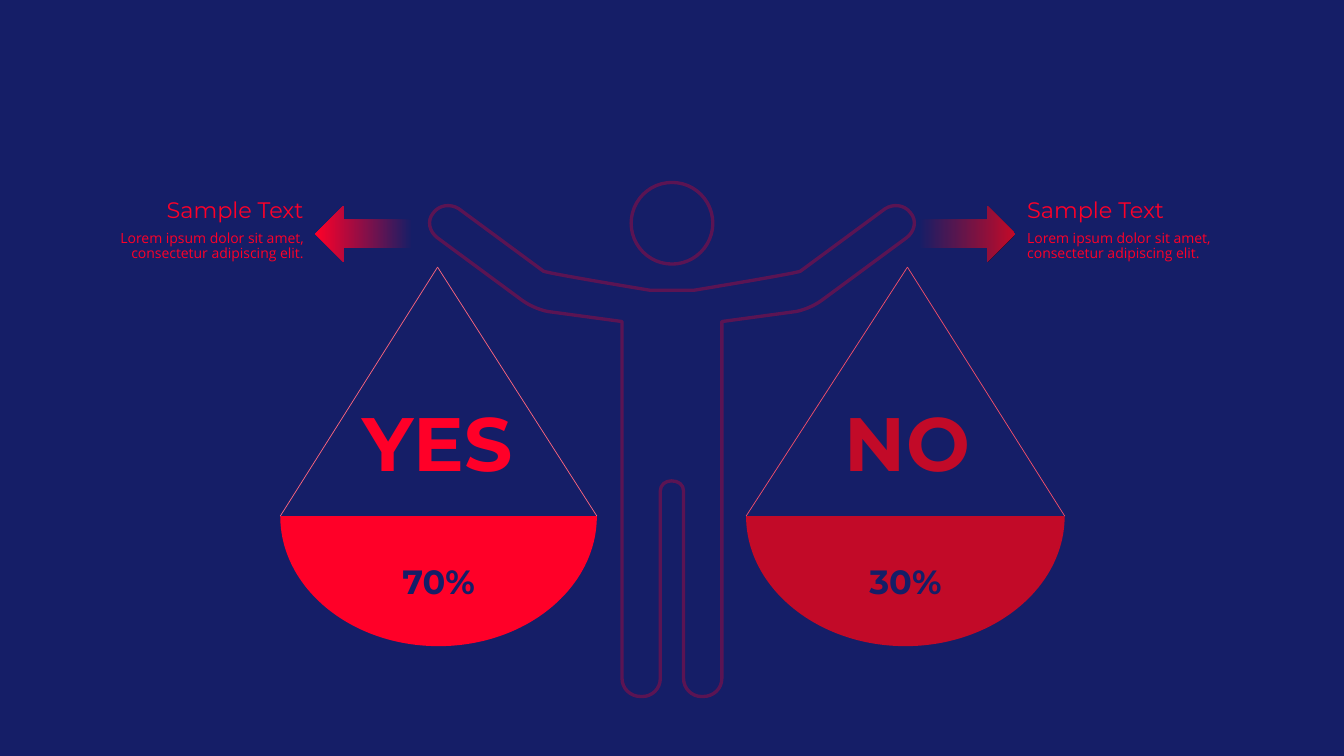
from lxml import etree
from pptx import Presentation
from pptx import util as u
from pptx.dml.color import RGBColor
from pptx.enum import shapes, text
from pptx.oxml.ns import qn

COLORS = {
    "navy": "151E67",
    "red": "FF0028",
    "crimson": "C20A28",
    "pink": "FF667E",
    "rose": "F6506B",
}
RGB = {name: RGBColor.from_string(code) for name, code in COLORS.items()}
ALIGN = text.PP_ALIGN


def write(frame, words, size, color, font="Montserrat", bold=False,
          align=ALIGN.CENTER, spacing=None, before=0):
    first = frame.paragraphs[0]
    para = frame.add_paragraph() if first.runs else first
    para.alignment = align
    para.line_spacing = spacing
    para.space_before = u.Pt(before)
    span = para.add_run()
    span.text = words
    span.font.name = font
    span.font.size = u.Pt(size)
    span.font.bold = bold
    span.font.color.rgb = RGB[color]


def draw_outline(parent, start, steps):
    builder = parent.build_freeform(*map(u.Inches, start))
    builder.add_line_segments([
        (u.Inches(step[i]), u.Inches(step[i + 1]))
        for step in steps for i in range(0, len(step), 2)], close=True)
    shape = builder.convert_to_shape()
    shape.shadow.inherit = False
    segments = iter(list(shape._element.iter(qn("a:lnTo"))))
    for step in steps:
        segment = next(segments)
        if len(step) == 6:
            segment.addprevious(etree.Element(qn("a:cubicBezTo")))
            curve = segment.getprevious()
            for line in (segment, next(segments), next(segments)):
                curve.append(line[0])
                line.getparent().remove(line)
    return shape


deck = Presentation()
deck.slide_width = u.Inches(13.33)
deck.slide_height = u.Inches(7.5)
page = deck.slides.add_slide(deck.slide_layouts[6])
page.background.fill.solid()
page.background.fill.fore_color.rgb = RGB["navy"]

neck = (6.45, 2.88)
left_half = [
    (6.45, 2.88, 5.42, 2.71, 5.39, 2.69),
    (4.55, 2.07),
    (4.47, 2.02, 4.36, 2.03, 4.3, 2.11),
    (4.23, 2.19, 4.26, 2.3, 4.34, 2.36),
    (5.18, 2.98),
    (5.25, 3.03, 5.34, 3.07, 5.43, 3.09),
    (6.17, 3.19),
    (6.17, 6.73),
    (6.17, 6.83, 6.25, 6.91, 6.36, 6.91),
    (6.37, 6.91),
    (6.47, 6.91, 6.55, 6.83, 6.55, 6.73),
    (6.55, 4.87),
    (6.55, 4.81, 6.6, 4.77, 6.66, 4.77),
]
right_half = []
origin = neck
for step in left_half:
    knots = [origin] + [step[i:i + 2] for i in range(0, len(step) - 2, 2)]
    right_half.insert(0, [
        value for x, y in reversed(knots) for value in (13.33 - x, y)])
    origin = step[-2:]

person = page.shapes.add_group_shape()
body = draw_outline(person.shapes, neck, left_half + right_half)
head = person.shapes.add_shape(
    shapes.MSO_SHAPE.OVAL, u.Inches(6.26), u.Inches(1.81), u.Inches(0.81), u.Inches(0.81))
head.shadow.inherit = False
for part in (body, head):
    part.fill.background()
    part.line.color.rgb = RGB["red"]
    part.line.width = u.Pt(2.38)
    tint = part.line.fill._xPr.find(".//" + qn("a:srgbClr"))
    etree.SubElement(tint, qn("a:alpha"), val="30000")

rim_y, bend_y, bottom_y, bend_x = 5.12, 5.83, 6.41, 0.87
scales = [
    ("YES", "70%", "red", "pink", 2.78, 5.92, 4.34, 3.34),
    ("NO", "30%", "crimson", "rose", 7.4, 10.56, 9, 8),
]
for answer, share, color, string_color, left, right, apex, label_left in scales:
    scale = page.shapes.add_group_shape()
    middle = (left + right) / 2
    pan = draw_outline(scale.shapes, (left, rim_y), [
        (right, rim_y),
        (right, bend_y, middle + bend_x, bottom_y, middle, bottom_y),
        (middle - bend_x, bottom_y, left, bend_y, left, rim_y),
    ])
    pan.fill.solid()
    pan.fill.fore_color.rgb = RGB[color]
    pan.line.fill.background()
    pan.text_frame.vertical_anchor = text.MSO_ANCHOR.MIDDLE
    write(pan.text_frame, share, 24, "navy", bold=True)

    for rim in (left, right):
        string = scale.shapes.add_connector(
            shapes.MSO_CONNECTOR.STRAIGHT,
            u.Inches(apex), u.Inches(2.65), u.Inches(rim), u.Inches(rim_y))
        string.line.color.rgb = RGB[string_color]
        string.line.width = u.Pt(0.5)
        etree.SubElement(string._element.spPr, qn("a:effectLst"))

    label = scale.shapes.add_textbox(
        u.Inches(label_left), u.Inches(3.99), u.Inches(2), u.Inches(0.95))
    frame = label.text_frame
    frame.word_wrap = True
    frame.auto_size = text.MSO_AUTO_SIZE.SHAPE_TO_FIT_TEXT
    frame.margin_left = frame.margin_right = u.Inches(0.13)
    frame.margin_top, frame.margin_bottom = u.Inches(0.05), u.Inches(0.07)
    write(frame, answer, 54, color, bold=True, spacing=0.89)

callouts = [
    (9.11, "crimson", False, 10.09, ALIGN.LEFT),
    (3.13, "red", True, 0.38, ALIGN.RIGHT),
]
for arrow_left, tip_color, flipped, note_left, align in callouts:
    arrow = page.shapes.add_shape(
        shapes.MSO_SHAPE.RIGHT_ARROW,
        u.Inches(arrow_left), u.Inches(2.04), u.Inches(0.96), u.Inches(0.56))
    arrow.shadow.inherit = False
    arrow.line.fill.background()
    arrow.fill.gradient()
    arrow.fill.gradient_angle = 0
    for stop, position, color in zip(arrow.fill.gradient_stops, (0, 1), ("navy", tip_color)):
        stop.position = position
        stop.color.rgb = RGB[color]
    if flipped:
        arrow._element.spPr.xfrm.set("flipH", "1")

    note = page.shapes.add_textbox(
        u.Inches(note_left), u.Inches(1.9), u.Inches(2.73), u.Inches(0.76))
    frame = note.text_frame
    frame.word_wrap = True
    frame.auto_size = text.MSO_AUTO_SIZE.SHAPE_TO_FIT_TEXT
    write(frame, "Sample Text", 16, "red", align=align, before=6)
    write(frame, "Lorem ipsum dolor sit amet, consectetur adipiscing elit.", 10, "red",
          font="Open Sans", align=align, spacing=0.9, before=6)

deck.save("out.pptx")
